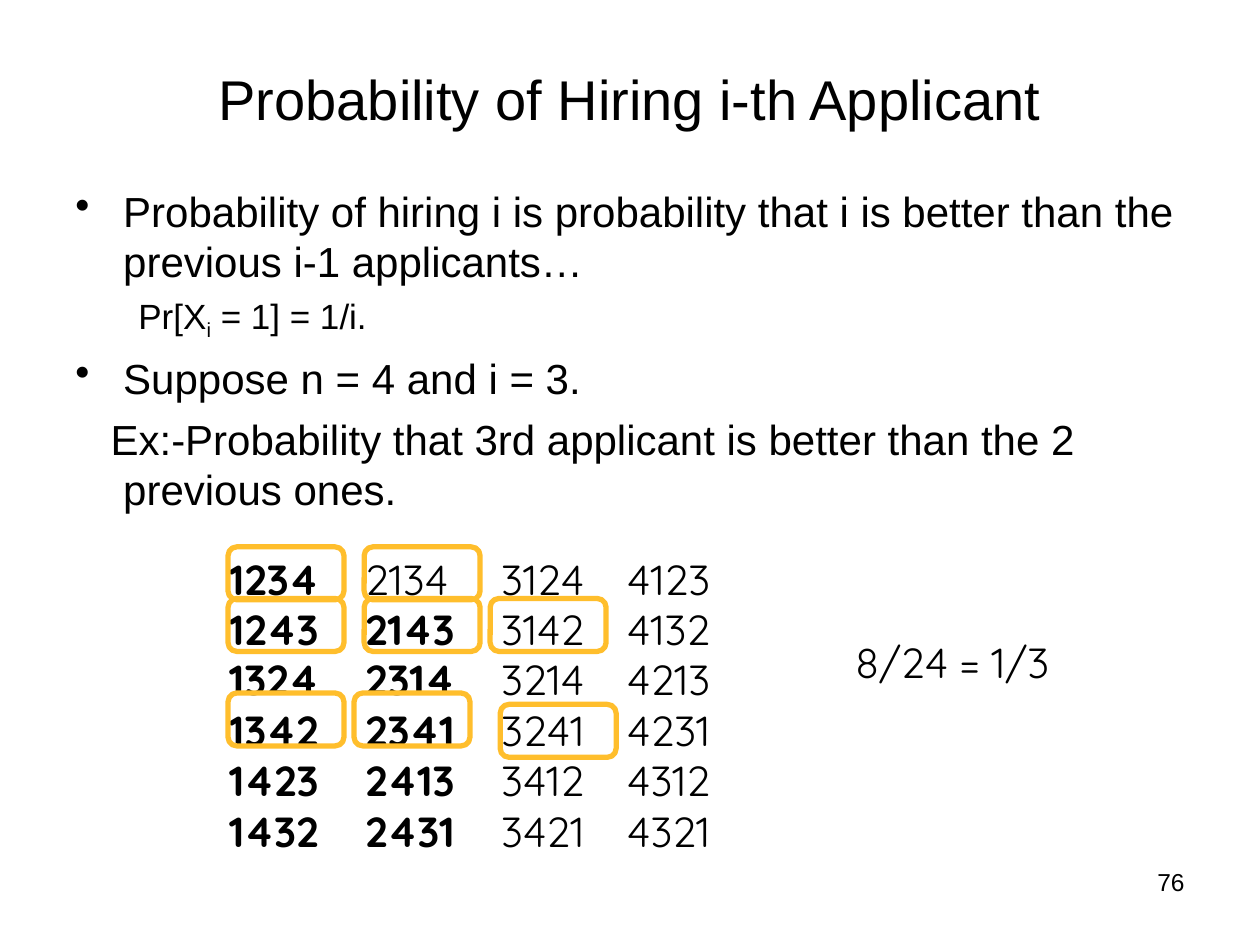
from dataclasses import dataclass

from lxml import etree
from pptx import Presentation
from pptx.dml.color import RGBColor
from pptx.enum import shapes, text
from pptx.oxml.ns import qn
from pptx.util import Inches, Pt


@dataclass(frozen=True)
class Theme:
    ink: RGBColor = RGBColor(0x00, 0x00, 0x00)
    highlight: RGBColor = RGBColor(0xFF, 0xBE, 0x2C)
    body_font: str = "Arial"
    sample_font: str = "Quicksand"
    title_size: int = 32
    main_size: int = 24
    formula_size: int = 20
    number_size: int = 14
    main_pitch: float = 28.8
    formula_pitch: float = 27


@dataclass(frozen=True)
class BodyLine:
    spans: tuple
    size: int
    pitch: float
    margin: float
    indent: float
    before: float
    bullet: bool = False


@dataclass(frozen=True)
class Column:
    left: float
    orders: tuple
    bold_rows: range


THEME = Theme()
COLUMN_TOP, COLUMN_WIDTH, COLUMN_HEIGHT = 4.34, 0.96, 2.5
MARK_WIDTH, MARK_HEIGHT = 0.92, 0.42

BODY = (
    BodyLine(("Probability of hiring i is probability that i is better than "
              "the previous i-1 applicants…",),
             THEME.main_size, THEME.main_pitch, 0.38, -0.38, 6, True),
    BodyLine(("Pr[X", "i", " = 1] = 1/i."),
             THEME.formula_size, THEME.formula_pitch, 0.81, -0.31, 5),
    BodyLine(("Suppose n = 4 and i = 3.",),
             THEME.main_size, THEME.main_pitch, 0.38, -0.38, 6, True),
    BodyLine(("Ex:-Probability that 3rd applicant is better than the 2 "
              "previous ones.",),
             THEME.main_size, THEME.main_pitch, 0.38, -0.1, 6),
)

COLUMNS = (
    Column(1.72, ("1234", "1243", "1324", "1342", "1423", "1432"), range(6)),
    Column(2.8, ("2134", "2143", "2314", "2341", "2413", "2431"), range(1, 6)),
    Column(3.88, ("3124", "3142", "3214", "3241", "3412", "3421"), range(0)),
    Column(4.88, ("4123", "4132", "4213", "4231", "4312", "4321"), range(0)),
)

# Left and top of the frame around each favourable order
MARKS = (
    (1.81, 4.34), (1.81, 4.75), (1.81, 5.5), (2.81, 5.5),
    (2.89, 4.34), (2.89, 4.75), (3.89, 4.75), (3.97, 5.59),
)


def format_span(span, size: float, font: str, bold: bool = False) -> None:
    span.font.size = Pt(size)
    span.font.name = font
    span.font.bold = bold
    span.font.color.rgb = THEME.ink


def add_box(page, left: float, top: float, width: float, height: float,
            wrap: bool = True):
    box = page.shapes.add_textbox(
        Inches(left), Inches(top), Inches(width), Inches(height))
    box.text_frame.word_wrap = wrap
    if not wrap:
        box.text_frame.auto_size = text.MSO_AUTO_SIZE.SHAPE_TO_FIT_TEXT
    return box


def set_title(page) -> None:
    title = page.shapes.title
    title.left, title.top = Inches(0.5), Inches(0.3)
    title.width, title.height = Inches(9), Inches(0.95)
    frame = title.text_frame
    frame.text = "Probability of Hiring i-th Applicant"
    frame.vertical_anchor = text.MSO_ANCHOR.MIDDLE
    frame.paragraphs[0].alignment = text.PP_ALIGN.CENTER
    format_span(frame.paragraphs[0].runs[0], THEME.title_size, THEME.body_font)


def set_indent(para, line: BodyLine) -> None:
    """Give the paragraph its hanging indent and, if wanted, a bullet."""
    properties = para._p.get_or_add_pPr()
    properties.set("marL", str(Inches(line.margin)))
    properties.set("indent", str(Inches(line.indent)))
    if line.bullet:
        etree.SubElement(properties, qn("a:buChar")).set("char", "•")
    else:
        etree.SubElement(properties, qn("a:buNone"))


def add_body(page) -> None:
    frame = add_box(page, 0.5, 1.42, 9, 5.28).text_frame
    for index, line in enumerate(BODY):
        para = frame.add_paragraph() if index else frame.paragraphs[0]
        para.space_before = Pt(line.before)
        para.line_spacing = Pt(line.pitch)
        set_indent(para, line)
        for position, words in enumerate(line.spans):
            span = para.add_run()
            span.text = words
            format_span(span, line.size, THEME.body_font)
            if position == 1:
                span.font._element.set("baseline", "-25000")


def add_sample(page, left: float, top: float, width: float, height: float,
               rows: tuple, bold_rows: range = range(0)) -> None:
    frame = add_box(page, left, top, width, height, wrap=False).text_frame
    frame.text = "\n".join(rows)
    for row, para in enumerate(frame.paragraphs):
        para.line_spacing = Pt(THEME.main_pitch)
        format_span(para.runs[0], THEME.main_size, THEME.sample_font,
                    row in bold_rows)


def add_mark(page, left: float, top: float) -> None:
    mark = page.shapes.add_shape(
        shapes.MSO_SHAPE.ROUNDED_RECTANGLE, Inches(left), Inches(top),
        Inches(MARK_WIDTH), Inches(MARK_HEIGHT))
    mark.shadow.inherit = False
    mark.fill.background()
    mark.line.color.rgb = THEME.highlight
    mark.line.width = Pt(3)


def add_page_number(page) -> None:
    frame = add_box(page, 7.17, 6.83, 2.33, 0.52).text_frame
    frame.text = "76"
    frame.paragraphs[0].alignment = text.PP_ALIGN.RIGHT
    format_span(frame.paragraphs[0].runs[0], THEME.number_size, THEME.body_font)


def main() -> None:
    deck = Presentation()
    deck.slide_width, deck.slide_height = Inches(10), Inches(7.5)
    page = deck.slides.add_slide(deck.slide_layouts[5])
    set_title(page)
    add_body(page)
    for column in COLUMNS:
        add_sample(page, column.left, COLUMN_TOP, COLUMN_WIDTH, COLUMN_HEIGHT,
                   column.orders, column.bold_rows)
    for left, top in MARKS:
        add_mark(page, left, top)
    add_sample(page, 6.69, 5, 1.76, 0.5, ("8/24 = 1/3",))
    add_page_number(page)
    deck.save("out.pptx")


if __name__ == "__main__":
    main()
